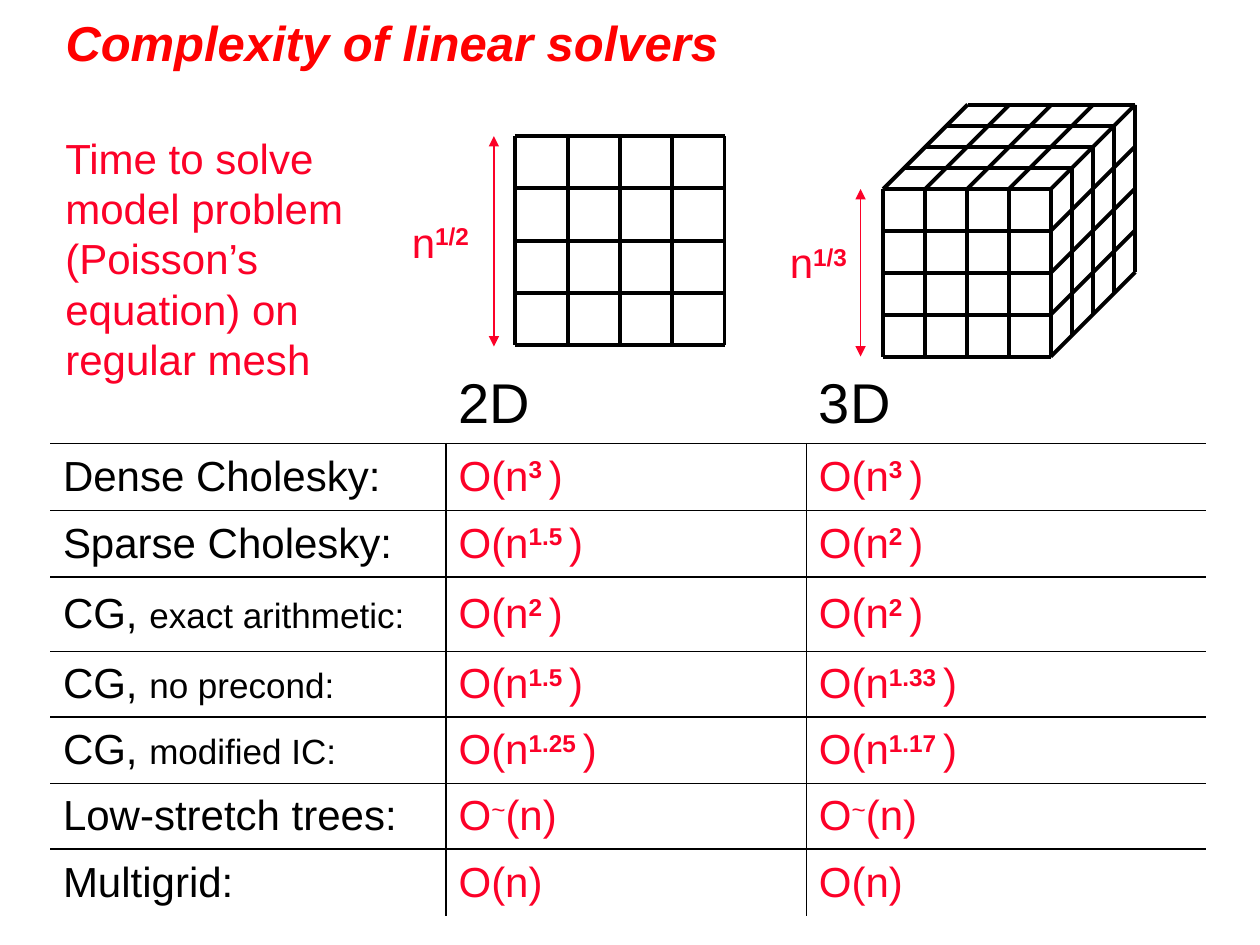
from lxml import etree
from pptx import Presentation
from pptx.dml.color import RGBColor
from pptx.enum.shapes import MSO_CONNECTOR
from pptx.enum.text import MSO_ANCHOR, PP_ALIGN
from pptx.oxml.ns import qn
from pptx.util import Inches, Pt

STRAIGHT = MSO_CONNECTOR.STRAIGHT
MIDDLE = MSO_ANCHOR.MIDDLE
LEFT = PP_ALIGN.LEFT

COLORS = {"title": "FF0000", "accent": "FC0128", "ink": "000000"}
FONT = "Arial"
CELLS = 4  # mesh cells along each side

# "^" switches superscript on and off, "|" starts smaller text
ROWS = [
    ("", "2D", "3D"),
    ("Dense Cholesky:", "O(n^3 ^)", "O(n^3 ^)"),
    ("Sparse Cholesky:", "O(n^1.5 ^)", "O(n^2 ^)"),
    ("CG, |exact arithmetic:", "O(n^2 ^)", "O(n^2 ^)"),
    ("CG, |no precond:", "O(n^1.5 ^)", "O(n^1.33 ^)"),
    ("CG, |modified IC:", "O(n^1.25 ^)", "O(n^1.17 ^)"),
    ("Low-stretch trees:", "O^~^(n)", "O^~^(n)"),
    ("Multigrid:", "O(n)", "O(n)"),
]
COL_WIDTHS = [3.14, 2.86, 3.17]
ROW_HEIGHTS = [0.63, 0.53, 0.53, 0.59, 0.52, 0.53, 0.52, 0.53]


def add_run(p, text, color, **fmt):
    r = p.add_run()
    r.text = text
    for name, value in {"name": FONT, "size": Pt(24), **fmt}.items():
        setattr(r.font, name, value)
    r.font.color.rgb = RGBColor.from_string(COLORS[color])
    return r


def write_marked(p, text, color, size=24):
    """Write text whose marks give superscripts and smaller parts."""
    normal, _, small = text.partition("|")
    for i, part in enumerate(normal.split("^")):
        if not part:
            continue
        raised = i % 2 == 1
        r = add_run(p, part, color, size=Pt(size), bold=raised and part != "~")
        if raised:
            r.font._element.set("baseline", "30000")
    if small:
        add_run(p, small, color, size=Pt(20))


def add_textbox(shapes, left, top, width, height, wrap):
    tf = shapes.add_textbox(*map(Inches, (left, top, width, height))).text_frame
    tf.word_wrap = wrap
    return tf.paragraphs[0]


def add_line(shapes, start, end, color="ink", width=2.25, arrows=False):
    c = shapes.add_connector(STRAIGHT, *map(Inches, (*start, *end)))
    c.line.color.rgb = RGBColor.from_string(COLORS[color])
    c.line.width = Pt(width)
    if arrows:
        ln = c.line._get_or_add_ln()
        for tag in ("a:headEnd", "a:tailEnd"):
            etree.SubElement(ln, qn(tag), type="triangle")
    etree.SubElement(c._element.spPr, qn("a:effectLst"))


def add_mesh(shapes, origin, u, v, first_u=0, first_v=0):
    """Grid of lines along u and v; a first of 1 skips an edge already drawn."""
    def point(a, b):
        return [o + a * du + b * dv for o, du, dv in zip(origin, u, v)]

    for i in range(first_u, CELLS + 1):
        add_line(shapes, point(0, i / CELLS), point(1, i / CELLS))
    for i in range(first_v, CELLS + 1):
        add_line(shapes, point(i / CELLS, 0), point(i / CELLS, 1))


def add_dimension(shapes, x, top, bottom, label, label_at):
    write_marked(add_textbox(shapes, *label_at, 0.7, 0.5, False), label, "accent")
    add_line(shapes, (x, bottom), (x, top), "accent", 1, arrows=True)


def set_borders(cell, sides):
    """Black 1 pt lines on the given sides, none on the others."""
    tcPr = cell._tc.get_or_add_tcPr()
    for i, side in enumerate("LRTB"):
        ln = etree.Element(qn("a:ln" + side), w=str(Pt(1)))
        if side in sides:
            fill = etree.SubElement(ln, qn("a:solidFill"))
            etree.SubElement(fill, qn("a:srgbClr"), val=COLORS["ink"])
        else:
            etree.SubElement(ln, qn("a:noFill"))
        tcPr.insert(i, ln)


def add_complexity_table(s):
    n_rows, n_cols = len(ROWS), len(COL_WIDTHS)
    table = s.shapes.add_table(n_rows, n_cols, Inches(0.4), Inches(2.89),
                               Inches(9.17), Inches(4.38)).table
    table.first_row = table.horz_banding = False
    for col, width in zip(table.columns, COL_WIDTHS):
        col.width = Inches(width)
    for row, height in zip(table.rows, ROW_HEIGHTS):
        row.height = Inches(height)
    for i, texts in enumerate(ROWS):
        for j, text in enumerate(texts):
            cell = table.cell(i, j)
            cell.vertical_anchor = MIDDLE
            cell.fill.background()
            color = "accent" if i and j else "ink"
            write_marked(cell.text_frame.paragraphs[0], text, color, 24 if i else 32)
            # Only inner lines, with no verticals in the heading row
            inner = {"L": i and j, "R": i and j < n_cols - 1,
                     "T": i, "B": i < n_rows - 1}
            set_borders(cell, [side for side, shown in inner.items() if shown])


def add_title(s, text):
    title = s.shapes.title
    box = {"left": 0.42, "top": 0, "width": 9.33, "height": 0.67}
    for name, value in box.items():
        setattr(title, name, Inches(value))
    title.text_frame.vertical_anchor = MIDDLE
    p = title.text_frame.paragraphs[0]
    p.alignment = LEFT
    add_run(p, text, "title", size=Pt(28), bold=True, italic=True)


def main():
    prs = Presentation()
    prs.slide_width, prs.slide_height = Inches(10), Inches(7.5)
    s = prs.slides.add_slide(prs.slide_layouts[5])

    add_title(s, "Complexity of linear solvers")
    add_complexity_table(s)

    # 2D mesh
    square = s.shapes.add_group_shape().shapes
    add_mesh(square, (4.09, 1.08), (1.66, 0), (0, 1.66))
    add_dimension(square, 3.92, 1.08, 2.75, "n^1/2", (3.17, 1.67))

    # 3D mesh: top, front and right faces
    cube = s.shapes.add_group_shape().shapes
    side, depth = 1.33, (0.67, -0.67)
    add_mesh(cube, (7.01, 1.5), (side, 0), depth)
    add_mesh(cube, (7.01, 1.5), (side, 0), (0, side), first_u=1)
    add_mesh(cube, (7.01 + side, 1.5), depth, (0, side), first_u=1, first_v=1)
    add_dimension(cube, 6.83, 1.5, 2.83, "n^1/3", (6.17, 1.83))

    # Problem statement
    p = add_textbox(s.shapes, 0.42, 1, 2.42, 2.1, True)
    add_run(p, "Time to solve model problem (Poisson’s equation) on regular mesh",
            "accent")

    prs.save("out.pptx")


if __name__ == "__main__":
    main()
